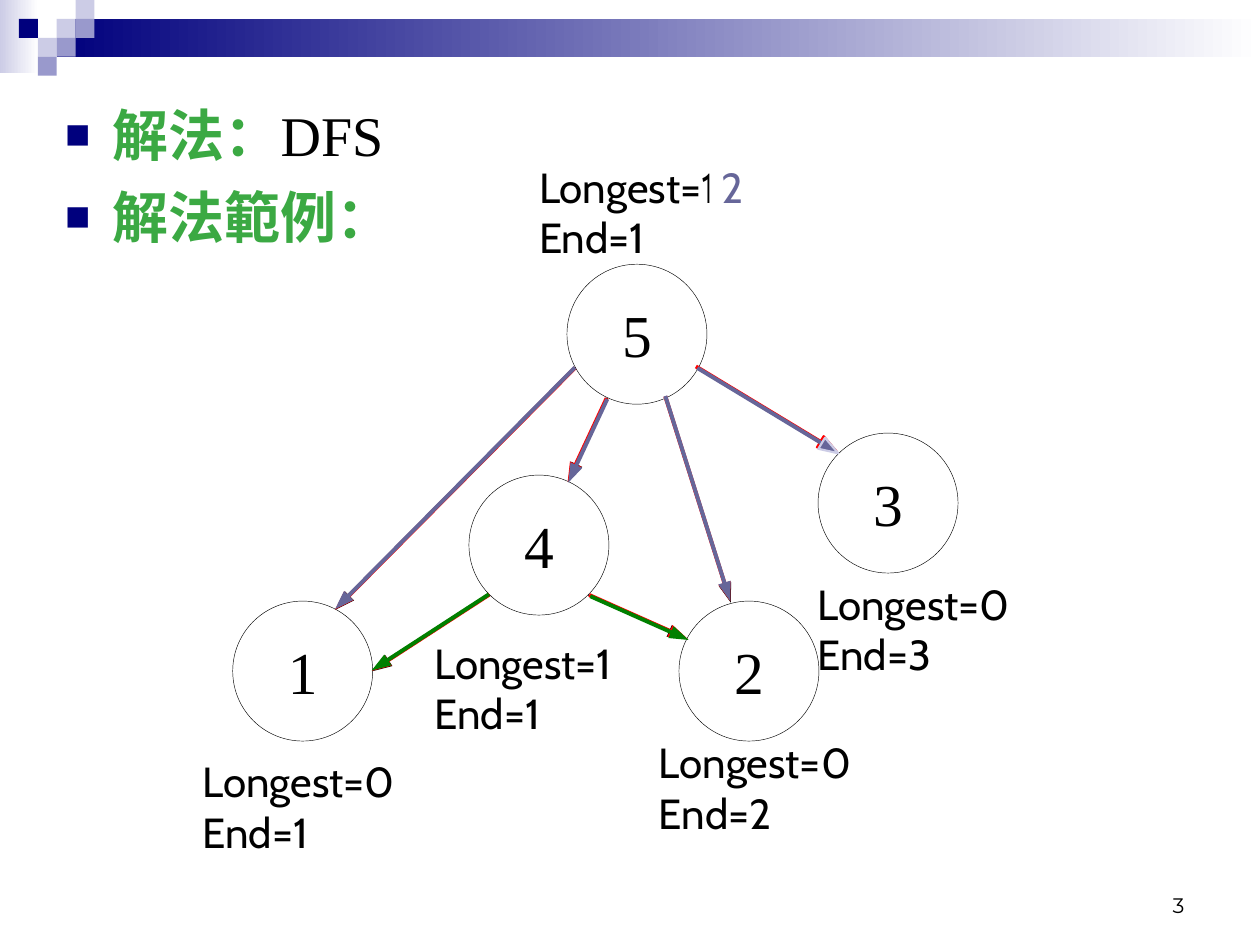
from math import hypot

from lxml.etree import SubElement
from pptx import Presentation
from pptx.dml.color import RGBColor
from pptx.enum.shapes import MSO_CONNECTOR, MSO_SHAPE
from pptx.enum.text import MSO_ANCHOR, PP_ALIGN
from pptx.oxml.ns import qn
from pptx.util import Pt

WHITE = RGBColor(0xFF, 0xFF, 0xFF)
BLACK = RGBColor(0, 0, 0)
NAVY = RGBColor(0, 0, 0x7D)
LILAC = RGBColor(0xCC, 0xCC, 0xE6)
MAUVE = RGBColor(0x99, 0x99, 0xCC)
LEAF = RGBColor(0x3B, 0xA9, 0x43)
RED = RGBColor(0xFF, 0, 0)
SLATE = RGBColor(0x66, 0x66, 0x99)
GREEN = RGBColor(0, 0x80, 0)

SERIF, SANS, NUMBER = "Times New Roman", "Cabin", "Montserrat"
UNIT = 10.8  # side of a header square
SIZE = 80  # width of a tree node


class Deck:
    def __init__(self, slide):
        self.slide = slide
        self.shapes = slide.shapes

    def style(self, run, face, size, color, bold=False):
        font = run.font
        font.name, font.size, font.bold = face, Pt(size), bold
        font.color.rgb = color

    def shape(self, kind, x, y, w, h, fill):
        item = self.shapes.add_shape(kind, Pt(x), Pt(y), Pt(w), Pt(h))
        item.shadow.inherit = False
        item.line.fill.background()
        item.fill.solid()
        item.fill.fore_color.rgb = fill
        return item

    def fade(self, x, y, w, h, color):
        fill = self.shape(MSO_SHAPE.RECTANGLE, x, y, w, h, color).fill
        fill.gradient()
        fill.gradient_angle = 0
        for stop, tint in zip(fill.gradient_stops, (color, WHITE)):
            stop.color.rgb = tint

    def text(self, x, y, w, h, text, face=SANS, size=24, color=BLACK, fill=None):
        box = self.shapes.add_textbox(Pt(x), Pt(y), Pt(w), Pt(h))
        if fill is not None:
            box.fill.solid()
            box.fill.fore_color.rgb = fill
        box.text_frame.text = text
        for para in box.text_frame.paragraphs:
            self.style(para.runs[0], face, size, color)
        return box

    def node(self, x, y, text):
        oval = self.shape(MSO_SHAPE.OVAL, x - SIZE / 2, y - SIZE / 2, SIZE, SIZE, WHITE)
        oval.line.color.rgb = BLACK
        oval.line.width = Pt(0.25)
        frame = oval.text_frame
        frame.margin_left = frame.margin_right = frame.margin_top = frame.margin_bottom = 0
        frame.vertical_anchor = MSO_ANCHOR.MIDDLE
        frame.text = text
        frame.paragraphs[0].alignment = PP_ALIGN.CENTER
        self.style(frame.paragraphs[0].runs[0], SERIF, 34, BLACK)

    def arrow(self, edge, color, width=2.25, dx=0, dy=0, rim=None):
        x, y, tx, ty = edge
        x, y, tx, ty = x + dx, y + dy, tx + dx, ty + dy
        dist = hypot(tx - x, ty - y)
        ux, uy = (tx - x) / dist, (ty - y) / dist
        # Shaft stops just inside the head
        line = self.shapes.add_connector(
            MSO_CONNECTOR.STRAIGHT, Pt(x), Pt(y), Pt(tx - 10 * ux), Pt(ty - 10 * uy))
        line.line.color.rgb = color
        line.line.width = Pt(width)
        SubElement(line._element.spPr, qn("a:effectLst"))
        # Triangular head, 11 long and 7.4 wide
        bx, by = tx - 11 * ux, ty - 11 * uy
        px, py = -3.7 * uy, 3.7 * ux
        path = self.shapes.build_freeform(Pt(tx), Pt(ty))
        path.add_line_segments([(Pt(bx + px), Pt(by + py)), (Pt(bx - px), Pt(by - py))])
        head = path.convert_to_shape()
        head.shadow.inherit = False
        head.fill.solid()
        head.fill.fore_color.rgb = color
        if rim is None:
            head.line.fill.background()
        else:
            head.line.color.rgb = rim
            head.line.width = Pt(1.25)

    def bullets(self, holder, rows):
        frame = holder.text_frame
        frame.text = "\n".join(lead for lead, rest in rows)
        for i, (para, (lead, rest)) in enumerate(zip(frame.paragraphs, rows)):
            para.space_before = Pt(8 if i else 0)
            props = para._p.get_or_add_pPr()
            props.set("marL", str(Pt(27)))
            props.set("indent", str(-Pt(27)))
            tint = SubElement(props, qn("a:buClr"))
            SubElement(tint, qn("a:srgbClr"), val=str(NAVY))
            SubElement(props, qn("a:buSzPct"), val="75000")
            SubElement(props, qn("a:buChar"), char="■")
            self.style(para.runs[0], SERIF, 32, LEAF, True)
            if rest:
                run = para.add_run()
                run.text = rest
                self.style(run, SERIF, 32, BLACK)


prs = Presentation()
prs.slide_width, prs.slide_height = Pt(720), Pt(540)
slide = prs.slides.add_slide(prs.slide_layouts[1])
deck = Deck(slide)

# Header band and squares
deck.fade(0, 0, 22, 42, LILAC)
deck.fade(3 * UNIT, UNIT, 720 - 3 * UNIT, 2 * UNIT, NAVY)
for col, row, color in [(3, 1, LILAC), (4, 0, LILAC), (4, 1, MAUVE), (2, 2, LILAC),
                        (1, 1, NAVY), (3, 2, MAUVE), (2, 3, MAUVE)]:
    deck.shape(MSO_SHAPE.RECTANGLE, col * UNIT, row * UNIT, UNIT, UNIT, color)

# Body text
title = slide.shapes.title
title._element.getparent().remove(title._element)
body = slide.placeholders[1]
body.left, body.top, body.width, body.height = Pt(30), Pt(54), Pt(636), Pt(443)
deck.bullets(body, [("解法：", "DFS"), ("解法範例：", "")])

# Tree nodes
for x, y, name in [(364, 191, "5"), (308, 311.5, "4"), (173, 383.5, "1"),
                   (428, 383.5, "2"), (507.5, 287.5, "3")]:
    deck.node(x, y, name)

# Tree edges: start and tip
EDGES = {
    "51": (329, 210.2, 192, 348.3),
    "52": (380.5, 227.2, 417.6, 344.3),
    "54": (347, 227.5, 324.7, 275.2),
    "41": (280, 340, 213, 383.5),
    "42": (336.3, 340, 392.5, 365),
    "53": (399, 210.3, 479.5, 259),
}
for edge in EDGES.values():
    deck.arrow(edge, BLACK, 0.75)

# Node results
for x, y, text in [(108.7, 428.4, "Longest=0\nEnd=1"), (241.2, 360.7, "Longest=1\nEnd=1"),
                   (369.4, 417.6, "Longest=0\nEnd=2"), (460.1, 326.9, "Longest=0\nEnd=3"),
                   (301, 88.6, "Longest=1\nEnd=1")]:
    deck.text(x, y, 131.8, 64.8, text)

# Search steps drawn over the edges
for name, color, dx, dy, rim in [
    ("51", RED, -0.4, 0, None), ("52", RED, -0.3, -0.7, None),
    ("53", RED, -1.3, -0.9, RED), ("54", RED, -0.3, 0, None),
    ("51", SLATE, -0.5, -0.2, None), ("52", SLATE, -0.3, -0.9, None),
    ("53", SLATE, -0.5, 0, LILAC),
    ("41", RED, -0.4, -0.2, None), ("41", GREEN, -0.6, -0.4, None),
    ("42", RED, 0.4, 0, None), ("42", GREEN, 1, 0.7, None),
    ("54", SLATE, 0, 0.6, None),
]:
    deck.arrow(EDGES[name], color, dx=dx, dy=dy, rim=rim)

# Updated length and page number
deck.text(405.4, 88.6, 28, 36, "2", color=SLATE, fill=WHITE)
page = deck.text(516.2, 491.8, 167.8, 36, "3", NUMBER, 12)
page.text_frame.word_wrap = True
page.text_frame.vertical_anchor = MSO_ANCHOR.BOTTOM
page.text_frame.paragraphs[0].alignment = PP_ALIGN.RIGHT

prs.save("out.pptx")
